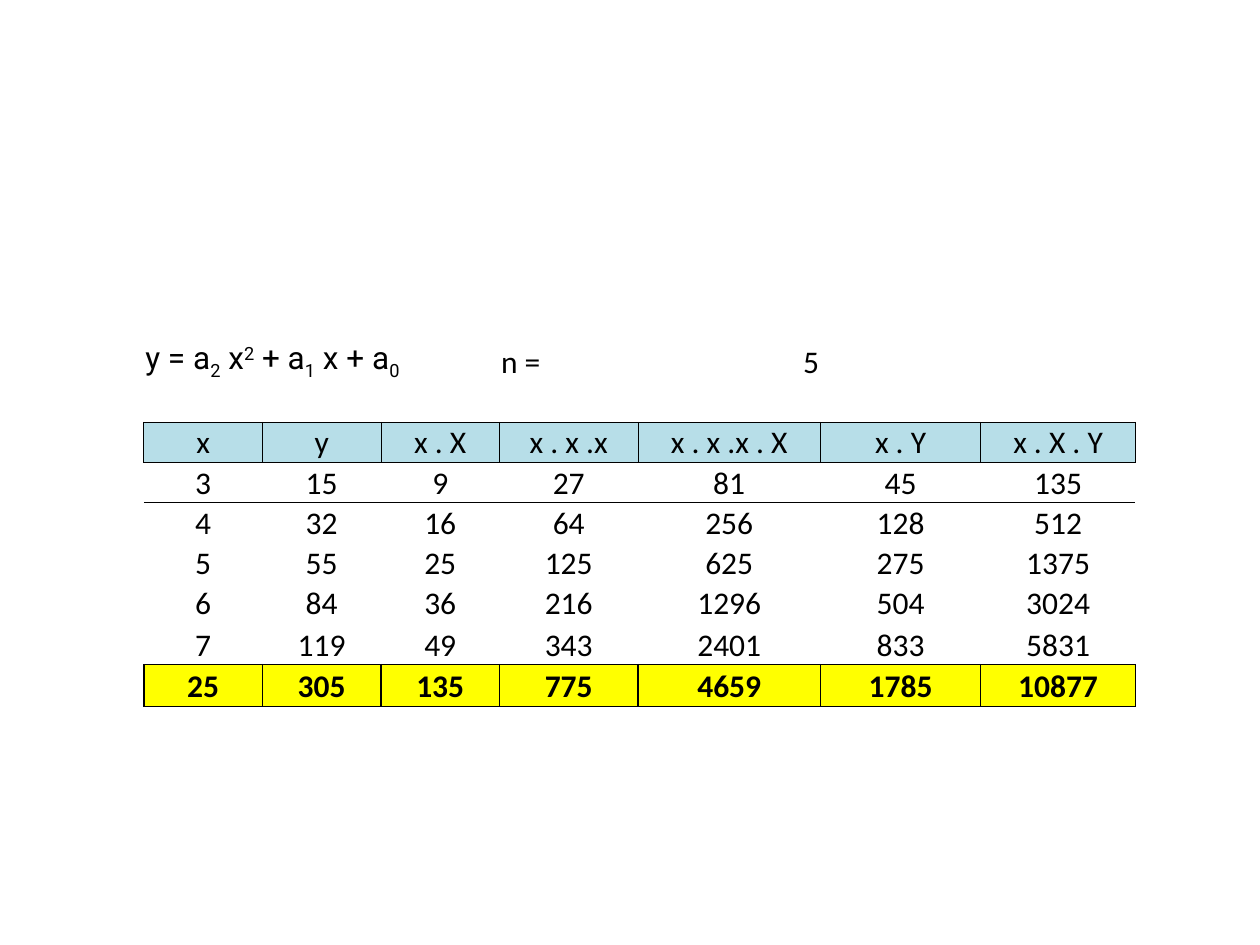
from lxml import etree
from pptx import Presentation
from pptx.dml.color import RGBColor
from pptx.enum.text import MSO_ANCHOR, PP_ALIGN
from pptx.oxml.ns import qn
from pptx.util import Cm, Pt

LEFT, CENTER, RIGHT = PP_ALIGN.LEFT, PP_ALIGN.CENTER, PP_ALIGN.RIGHT
BOTTOM = MSO_ANCHOR.BOTTOM
NO_STYLE = "{2D5ABB26-0587-4C30-8999-92F81FD0307C}"
SUB, SUP = -25000, 30000


def add_text(cell, text, font="Calibri", bold=False, align=LEFT, baseline=0):
    p = cell.text_frame.paragraphs[0]
    p.alignment = align
    r = p.add_run()
    r.text = text
    r.font.name, r.font.size, r.font.bold = font, Pt(18), bold
    r.font.color.rgb = RGBColor.from_string("000000")
    if baseline:
        r._r.get_or_add_rPr().set("baseline", str(baseline))


def add_borders(cell, sides, width):
    tcPr = cell._tc.get_or_add_tcPr()
    for side in sides:
        ln = etree.SubElement(tcPr, qn("a:ln" + side), w=str(Pt(width)))
        fill = etree.SubElement(ln, qn("a:solidFill"))
        etree.SubElement(fill, qn("a:srgbClr"), val="000000")


prs = Presentation()
prs.slide_width, prs.slide_height = Cm(25.4), Cm(19.05)
slide = prs.slides.add_slide(prs.slide_layouts[6])

# Least-squares data: powers and products of x and y, then column totals
header = ["x", "y", "x . X", "x . x .x", "x . x .x . X", "x . Y", "x . X . Y"]
points = [(3, 15), (4, 32), (5, 55), (6, 84), (7, 119)]
data = [(x, y, x**2, x**3, x**4, x * y, x**2 * y) for x, y in points]
totals = [sum(column) for column in zip(*data)]
body = [header, *data, totals]

# Table frame
widths = [2.39, 2.39, 2.39, 2.79, 3.68, 3.23, 3.12]
heights = [0.97] + [0.81] * 6 + [0.84] * 2
s = slide.shapes.add_table(len(heights), len(widths), Cm(2.9), Cm(6.73),
                           Cm(sum(widths)), Cm(sum(heights)))
table = s.table
table.first_row = table.horz_banding = False
table._tbl.tblPr.find(qn("a:tableStyleId")).text = NO_STYLE
for column, width in zip(table.columns, widths):
    column.width = Cm(width)
for row, height in zip(table.rows, heights):
    row.height = Cm(height)

# Borders (sides, width) and fills by row
borders = {1: ("B", 0.5), 2: ("LRTB", 0.5), 3: ("T", 0.5),
           7: ("B", 1), 8: ("LRTB", 1)}
fills = {2: "B7DEE8", 8: "FFFF00"}
for i, row in enumerate(table.rows):
    for cell in row.cells:
        cell.margin_left = cell.margin_right = cell.margin_top = Cm(0.03)
        cell.margin_bottom = 0
        cell.vertical_anchor = BOTTOM
        if i in borders:
            add_borders(cell, *borders[i])
        if i in fills:
            cell.fill.solid()
            cell.fill.fore_color.rgb = RGBColor.from_string(fills[i])
        else:
            cell.fill.background()

# Equation and number of points
table.cell(0, 0).merge(table.cell(0, 2))
equation = [("y = a", 0), ("2", SUB), (" x", 0), ("2", SUP), (" + a", 0),
            ("1", SUB), (" x + a", 0), ("0", SUB)]
for text, baseline in equation:
    add_text(table.cell(0, 0), text, font="Roboto", baseline=baseline)
add_text(table.cell(0, 3), "n =")
add_text(table.cell(0, 4), str(len(points)), align=RIGHT)

# Header, data and totals
for i, values in enumerate(body, start=2):
    for j, value in enumerate(values):
        add_text(table.cell(i, j), str(value), bold=i == 8, align=CENTER)

prs.save("out.pptx")
